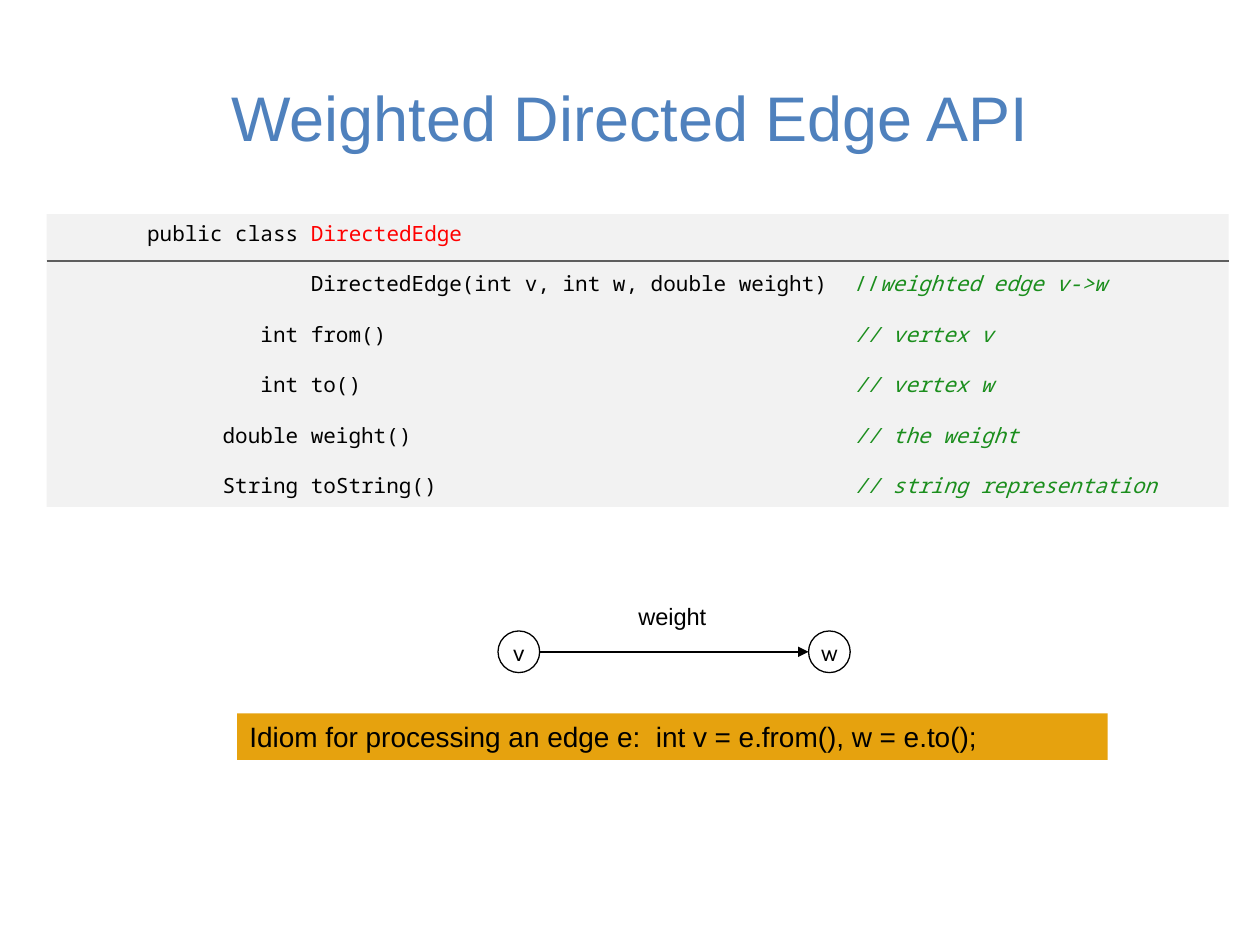
from pptx import Presentation
from pptx.dml.color import RGBColor
from pptx.enum.shapes import MSO_CONNECTOR as Line, MSO_SHAPE as Shape
from pptx.enum.text import MSO_ANCHOR as Anchor, PP_ALIGN as Align
from pptx.oxml.ns import qn
from pptx.util import Cm, Pt
from lxml.etree import SubElement as Sub

COLORS = {
    "title": "4F81BD", "panel": "F2F2F2", "rule": "5E5E5E", "idiom": "E6A20E",
    "ink": "000000", "name": "FF0000", "note": "1B8E1D", "white": "FFFFFF",
}
MONO = "Noto Sans Mono"
ROWS = [
    ("", "DirectedEdge(int v, int w, double weight)", "//", "weighted edge v->w"),
    ("int", "from()", "", "// vertex v"),
    ("int", "to()", "", "// vertex w"),
    ("double", "weight()", "", "// the weight"),
    ("String", "toString()", "", "// string representation"),
]


def color(key):
    return RGBColor.from_string(COLORS[key])


def style(run, font, size, key, slant=False):
    face = run.font
    face.name, face.size, face.italic = font, Pt(size), slant
    face.color.rgb = color(key)


def add_run(para, text, key, slant=False):
    run = para.add_run()
    run.text = text
    style(run, MONO, 12, key, slant)


def write(shape, text, font, size, key="ink", align=Align.LEFT, pad=None):
    frame = shape.text_frame
    frame.word_wrap = True
    frame.vertical_anchor = Anchor.MIDDLE
    if pad is not None:
        frame.margin_left = frame.margin_right = Cm(pad)
        frame.margin_top = frame.margin_bottom = Cm(pad)
    frame.text = text
    para = frame.paragraphs[0]
    para.alignment = align
    style(para.runs[0], font, size, key)


def add_label(slide, box, *args, **opts):
    write(slide.shapes.add_textbox(*map(Cm, box)), *args, **opts)


def add_block(slide, kind, box, fill, edge=None):
    block = slide.shapes.add_shape(kind, *map(Cm, box))
    block.shadow.inherit = False
    block.fill.solid()
    block.fill.fore_color.rgb = color(fill)
    if edge:
        block.line.color.rgb = color(edge)
        block.line.width = Pt(0.75)
    else:
        block.line.fill.background()
    return block


def add_line(slide, ends, key, arrow=False):
    line = slide.shapes.add_connector(Line.STRAIGHT, *map(Cm, ends))
    line.line.color.rgb = color(key)
    line.line.width = Pt(1.5)
    if arrow:
        Sub(line.line._get_or_add_ln(), qn("a:tailEnd"), type="triangle")
    Sub(line._element.spPr, qn("a:effectLst"))


def add_node(slide, left, text):
    node = add_block(slide, Shape.OVAL, (left, 12.72, 0.84, 0.84), "white", "ink")
    write(node, text, "Karla", 13.5, align=Align.CENTER, pad=0)


def add_stop(para, place):
    tabs = Sub(para._p.get_or_add_pPr(), qn("a:tabLst"))
    Sub(tabs, qn("a:tab"), pos=str(Cm(place)), algn="l")


def add_code(slide):
    panel = add_block(slide, Shape.RECTANGLE, (0.94, 4.32, 23.83, 5.9), "panel")
    frame = panel.text_frame
    frame.word_wrap = True
    frame.vertical_anchor = Anchor.TOP
    head = frame.paragraphs[0]
    head.alignment = Align.LEFT
    add_run(head, f"{'public class':>19} ", "ink")
    add_run(head, "DirectedEdge", "name")
    for kind, call, mark, note in ROWS:
        para = frame.add_paragraph()
        para.alignment = Align.LEFT
        para.space_before = Pt(14.4)
        add_stop(para, 16.04)
        add_run(para, f"{kind:>19} {call}\t", "ink")
        if mark:
            add_run(para, mark, "note")
        add_run(para, note, "note", True)
    add_line(slide, (0.94, 5.26, 24.77, 5.26), "rule")


def main():
    deck = Presentation()
    deck.slide_width, deck.slide_height = Cm(25.4), Cm(19.05)
    slide = deck.slides.add_slide(deck.slide_layouts[6])
    add_label(slide, (1.27, 0.76, 22.86, 3.18), "Weighted Directed Edge API",
              "Arial", 36, "title", Align.CENTER)
    add_code(slide)
    idiom = add_block(slide, Shape.RECTANGLE, (4.78, 14.38, 17.55, 0.94), "idiom")
    write(idiom, "Idiom for processing an edge e:  int v = e.from(), w = e.to();",
          "Arial", 16)
    add_node(slide, 10.04, "v")
    add_node(slide, 16.3, "w")
    add_line(slide, (10.88, 13.14, 16.3, 13.14), "ink", True)
    add_label(slide, (12.87, 12.1, 1.8, 0.62), "weight", "Arial", 13.5, pad=0)
    deck.save("out.pptx")


if __name__ == "__main__":
    main()
